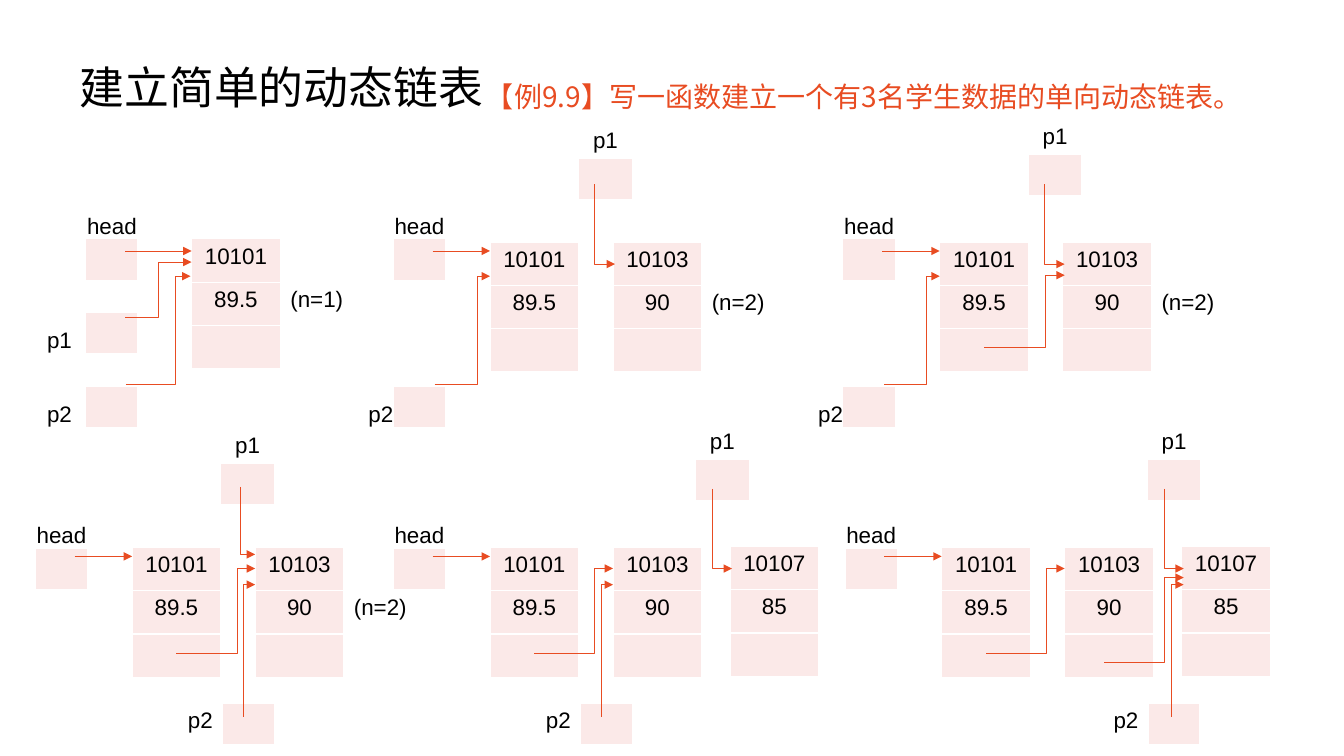
from lxml import etree
from pptx import Presentation
from pptx import util as u
from pptx.dml.color import RGBColor
from pptx.enum import shapes, text
from pptx.oxml.ns import qn

COLORS = {"accent": "E84C22", "box": "FBE9E8", "ink": "000000", "border": "FFFFFF"}
CJK, LATIN = "Noto Sans CJK SC", "Arial"
PLAIN_TABLE = "{2D5ABB26-0587-4C30-8999-92F81FD0307C}"  # no style, no grid
CENTER, LEFT, RIGHT = text.PP_ALIGN.CENTER, text.PP_ALIGN.LEFT, text.PP_ALIGN.RIGHT
TOP, BOTTOM = text.MSO_ANCHOR.TOP, text.MSO_ANCHOR.BOTTOM
NODE_WIDTH, NODE_ROW, POINTER, POINTER_ROW = 0.88, 0.43, 0.52, 0.41
SECOND, THIRD = 1.22, 2.38  # node offsets from the first node of a panel


def color(name):
    return RGBColor.from_string(COLORS[name])


def add_run(paragraph, words, size, font, ink):
    run = paragraph.add_run()
    run.text = words
    run.font.size = u.Pt(size)
    run.font.name = font
    run.font.color.rgb = color(ink)
    if font == CJK:
        etree.SubElement(run._r.get_or_add_rPr(), qn("a:ea"), typeface=font)


def border_cell(cell):
    properties = cell._tc.get_or_add_tcPr()
    for index, side in enumerate(("lnL", "lnR", "lnT", "lnB")):
        line = etree.Element(qn(f"a:{side}"), w="12700")
        fill = etree.SubElement(line, qn("a:solidFill"))
        etree.SubElement(fill, qn("a:srgbClr"), val=COLORS["border"])
        properties.insert(index, line)


def add_boxes(slide, left, top, widths, heights, labels, filled, anchor=TOP, inset=None):
    """Table whose labels map (row, column) to (words, alignment)."""
    frame = slide.shapes.add_table(
        len(heights), len(widths), u.Inches(left), u.Inches(top),
        u.Inches(sum(widths)), u.Inches(sum(heights)))
    table = frame.table
    table.first_row = table.horz_banding = False
    table._tbl.tblPr.find(qn("a:tableStyleId")).text = PLAIN_TABLE
    for column, width in zip(table.columns, widths):
        column.width = u.Inches(width)
    for row_index, (row, height) in enumerate(zip(table.rows, heights)):
        row.height = u.Inches(height)
        for column_index, cell in enumerate(row.cells):
            place = (row_index, column_index)
            cell.vertical_anchor = anchor
            if inset is not None:
                cell.margin_left = cell.margin_right = u.Inches(inset)
                cell.margin_top = cell.margin_bottom = u.Inches(inset)
            paragraph = cell.text_frame.paragraphs[0]
            if place in labels:
                words, paragraph.alignment = labels[place]
                add_run(paragraph, words, 16, LATIN, "ink")
            else:
                etree.SubElement(paragraph._p, qn("a:endParaRPr"), sz="800")
            if place in filled:
                cell.fill.solid()
                cell.fill.fore_color.rgb = color("box")
                border_cell(cell)
            else:
                cell.fill.background()


def add_node(slide, left, top, number, score, note=None):
    labels = {(0, 0): (number, CENTER), (1, 0): (score, CENTER)}
    if note:
        labels[1, 1] = (note, LEFT)
    widths = [NODE_WIDTH] * (2 if note else 1)
    add_boxes(slide, left, top, widths, [NODE_ROW] * 3, labels,
              {(row, 0) for row in range(3)})


def add_pointers(slide, left, top, names):
    """Column of pointer boxes under head; names map a row to its side label."""
    side = 1 if names else 0
    labels = {(0, side): ("head", CENTER)}
    labels.update({(row, 0): label for row, label in names.items()})
    heights = [POINTER_ROW, POINTER_ROW, 0.32, POINTER_ROW, 0.32, POINTER_ROW]
    add_boxes(slide, left - side * POINTER, top, [POINTER] * (side + 1), heights, labels,
              {(row, side) for row in (1, *names)}, BOTTOM, 0)


def add_p1(slide, left, top):
    add_boxes(slide, left, top, [0.53], [POINTER_ROW] * 2, {(0, 0): ("p1", CENTER)},
              {(1, 0)}, BOTTOM)


def add_p2(slide, left, top):
    add_boxes(slide, left, top, [0.55, 0.51], [POINTER_ROW], {(0, 0): ("p2", RIGHT)}, {(0, 1)})


def style_arrow(shape):
    shape.line.color.rgb = color("accent")
    shape.line.width = u.Pt(0.5)
    properties = shape._element.spPr
    etree.SubElement(properties.find(qn("a:ln")), qn("a:tailEnd"), type="triangle")
    if properties.find(qn("a:effectLst")) is None:
        etree.SubElement(properties, qn("a:effectLst"))


def add_arrow(slide, start, end, kind=shapes.MSO_CONNECTOR.STRAIGHT):
    style_arrow(slide.shapes.add_connector(kind, *(u.Inches(n) for n in (*start, *end))))


def add_bent_arrow(slide, left, top, start, bend, end):
    """Arrow from start across to x = bend, then up or down and into end."""
    points = [start, (bend, start[1]), (bend, end[1]), end]
    if bend == start[0]:
        points.pop(0)
    points = [(u.Inches(left + x), u.Inches(top + y)) for x, y in points]
    builder = slide.shapes.build_freeform(*points[0])
    builder.add_line_segments(points[1:], close=False)
    shape = builder.convert_to_shape()
    shape.shadow.inherit = False
    shape.fill.background()
    style_arrow(shape)


def add_heading(slide, left, top):
    title, body = slide.placeholders
    for shape, box, words, size, ink, spacing, anchor in (
            (title, (0, 0, 11.5, 1.04), "建立简单的动态链表", 32, "ink", 0.9,
             text.MSO_ANCHOR.MIDDLE),
            (body, (4.03, 0.37, 7.6, 0.61),
             "【例9.9】写一函数建立一个有3名学生数据的单向动态链表。", 20, "accent", 1.0, TOP)):
        x, y, width, height = box
        shape.left, shape.top = u.Inches(left + x), u.Inches(top + y)
        shape.width, shape.height = u.Inches(width), u.Inches(height)
        frame = shape.text_frame
        frame.auto_size = text.MSO_AUTO_SIZE.NONE
        frame.vertical_anchor = anchor
        paragraph = frame.paragraphs[0]
        paragraph.alignment = LEFT
        paragraph.line_spacing = spacing
        paragraph.space_before = u.Pt(0)
        if shape is body:
            properties = paragraph._p.get_or_add_pPr()
            properties.set("marL", str(u.Inches(0.1)))
            properties.set("indent", str(u.Inches(-0.1)))
            etree.SubElement(properties, qn("a:buNone"))
        add_run(paragraph, words, size, CJK, ink)


def add_first_panel(slide, left, top):
    add_pointers(slide, left - 1.05, top - 0.41, {3: ("p1", CENTER), 5: ("p2", CENTER)})
    add_node(slide, left, top, "10101", "89.5", "(n=1)")
    add_arrow(slide, (left - 0.66, top + 0.12), (left, top + 0.12))
    add_arrow(slide, (left - 0.66, top + 0.78), (left, top + 0.23), shapes.MSO_CONNECTOR.ELBOW)
    add_bent_arrow(slide, left, top, (-0.65, 1.44), -0.16, (-0.01, 0.37))


def add_second_node_panel(slide, left, top, p1_top, linked):
    add_pointers(slide, left - 0.96, top - 0.44, {5: ("p2", RIGHT)})
    add_node(slide, left, top, "10101", "89.5")
    add_node(slide, left + SECOND, top, "10103", "90", "(n=2)")
    add_p1(slide, left + 0.88, p1_top)
    add_arrow(slide, (left - 0.57, top + 0.09), (left, top + 0.09))
    add_bent_arrow(slide, left, top, (-0.55, 1.41), -0.13, (0, 0.34))
    add_bent_arrow(slide, left, top, (1.04, -0.57), 1.04, (1.24, 0.22))
    if linked:
        add_bent_arrow(slide, left, top, (0.44, 1.05), 1.05, (1.24, 0.33))


def add_lower_panel(slide, left, top, p1, p1_arrow, third, p2_shift):
    """Panel with p2 below; p2_shift moves p2 on to the third node."""
    add_pointers(slide, left - 0.96, top - 0.4, {})
    add_node(slide, left, top, "10101", "89.5")
    add_node(slide, left + SECOND, top, "10103", "90", None if third else "(n=2)")
    if third:
        add_node(slide, left + THIRD, top - 0.01, "10107", "85")
    add_p1(slide, left + p1[0], top + p1[1])
    add_p2(slide, left + 0.35 + p2_shift, top + 1.55)
    add_arrow(slide, (left - 0.57, top + 0.09), (left, top + 0.09))
    start, end = p1_arrow
    add_bent_arrow(slide, left, top, start, start[0], end)
    add_bent_arrow(slide, left, top, (0.44, 1.05), 1.04, (1.22, 0.21))
    if p2_shift:
        add_bent_arrow(slide, left, top, (1.61, 1.14), 2.21, (2.4, 0.3))
    p2_x = 2.28 if p2_shift else 1.1
    add_bent_arrow(slide, left, top, (p2_x, 1.68), p2_x, (p2_x + 0.12, 0.37))


def main():
    presentation = Presentation()
    presentation.slide_width, presentation.slide_height = u.Inches(13.33), u.Inches(7.5)
    slide = presentation.slides.add_slide(presentation.slide_layouts[1])
    add_heading(slide, 0.69, 0.37)
    add_first_panel(slide, 1.9, 2.37)
    add_second_node_panel(slide, 4.86, 2.4, 1.16, False)
    add_second_node_panel(slide, 9.32, 2.4, 1.12, True)
    to_second, to_third = ((1.07, -0.6), (1.22, 0.07)), ((2.21, -0.58), (2.4, 0.21))
    add_lower_panel(slide, 1.31, 5.43, (0.88, -1.24), to_second, False, 0)
    add_lower_panel(slide, 4.86, 5.43, (2.04, -1.28), to_third, True, 0)
    add_lower_panel(slide, 9.34, 5.43, (2.04, -1.28), to_third, True, 1.15)
    presentation.save("out.pptx")


if __name__ == "__main__":
    main()
